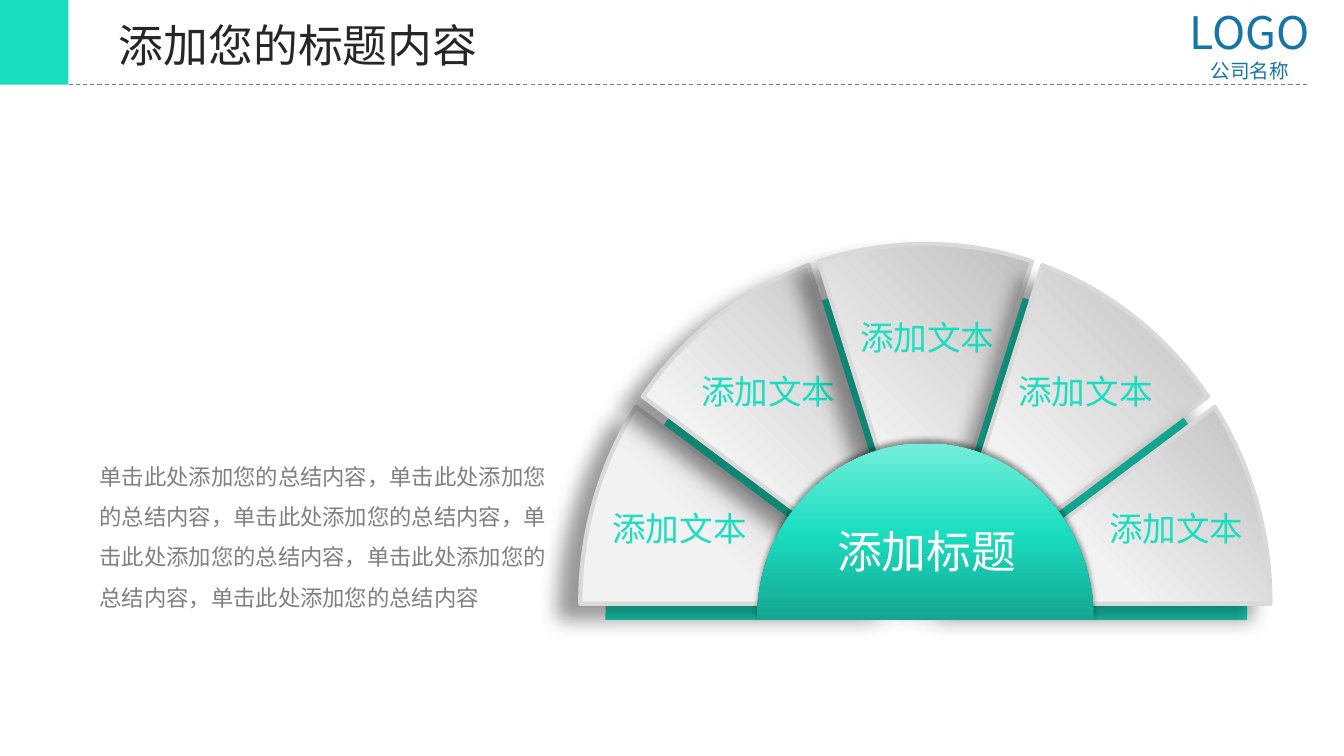
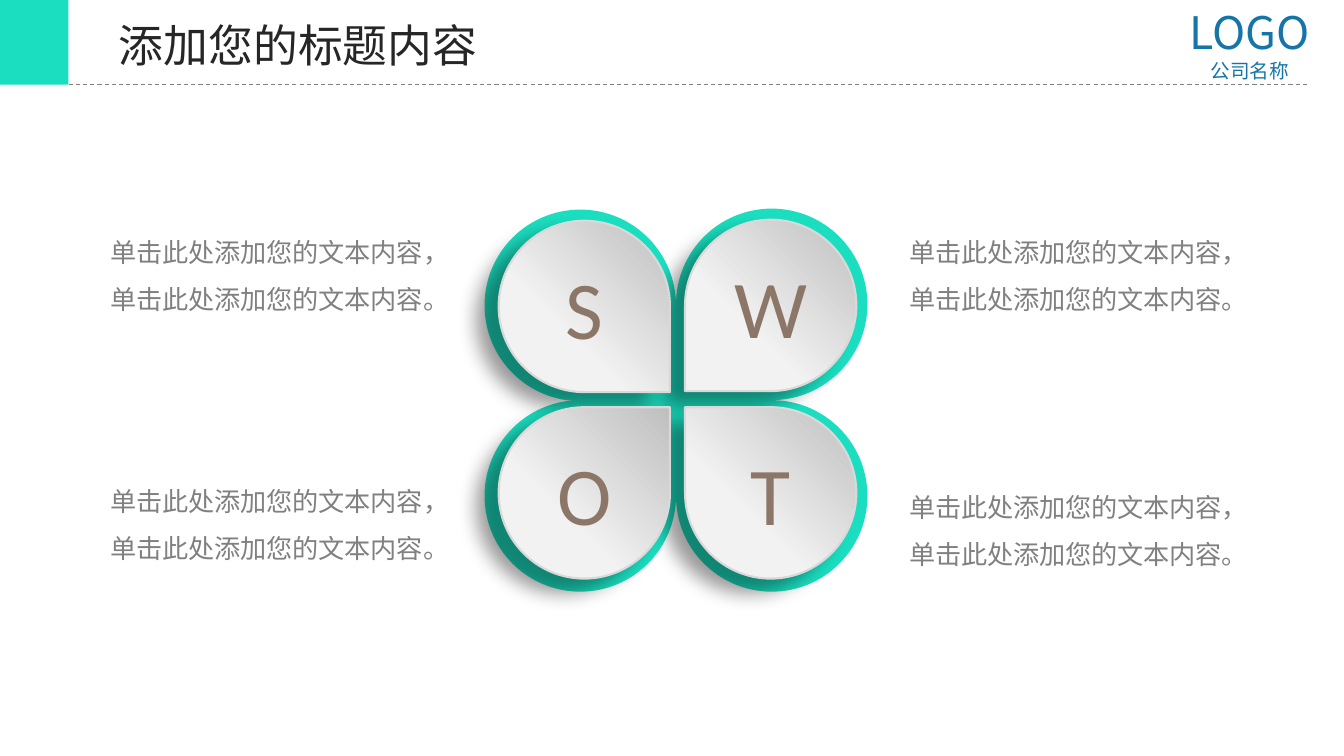
from math import ceil, cos, floor, radians, sin, tan

from lxml.etree import SubElement
from pptx import Presentation
from pptx.dml.color import RGBColor
from pptx.enum.dml import MSO_LINE
from pptx.enum.shapes import MSO_CONNECTOR, MSO_SHAPE
from pptx.enum.text import MSO_ANCHOR, MSO_AUTO_SIZE, PP_ALIGN
from pptx.oxml.ns import qn
from pptx.util import Pt

PX = 9144  # EMU in one px, 100 px to the inch
LEFT, MID = PP_ALIGN.LEFT, PP_ALIGN.CENTER
TOP, CENTRE = MSO_ANCHOR.TOP, MSO_ANCHOR.MIDDLE
RECT, LINE, DASH = MSO_SHAPE.RECTANGLE, MSO_CONNECTOR.STRAIGHT, MSO_LINE.DASH


class Theme:
    teal, white, rim = "1BDEC0", "FFFFFF", "D9D9D9"
    dark, gray, brown, blue = "262626", "808080", "8C7667", "1574A8"
    # gradients: angle, then stops; shadows: blur, distance (pt), direction
    silver = (45, ((36, "F2F2F2"), (100, "BFBFBF")))
    glow = (90, ((0, "14A690"), (50, teal), (100, "73EEDB")))
    drop, halo = (14, 18, 147), (4, 3, 270)
    head, body, label, east = "Noto Sans CJK JP", "Arial", "Calibri", "Noto Sans CJK SC"
    big, mark, tag, note, small, glyph = 32, 24, 18.67, 16, 14, 58.67


def rgb(code):
    return RGBColor.from_string(code)


def px(*nums):
    return [round(n * PX) for n in nums]


# Text
def style(para, face, size, color, align=LEFT, lead=None):
    para.alignment = align
    if lead:
        para.line_spacing = lead
    font = para.font
    font.size, font.name = Pt(size), face
    font.color.rgb = rgb(color)
    east = face if face == Theme.head else Theme.east
    SubElement(font._element, qn("a:ea")).set("typeface", east)


def write(shape, text, *look, anchor=TOP):
    frame = shape.text_frame
    frame.word_wrap = True
    frame.auto_size = MSO_AUTO_SIZE.NONE
    frame.vertical_anchor = anchor
    frame.text = text
    for para in frame.paragraphs:
        style(para, *look)
    return frame


def add_text(slide, box, text, *look, anchor=TOP):
    return write(slide.shapes.add_textbox(*px(*box)), text, *look, anchor=anchor)


# Outlines: a start point, then steps of one point (line) or three (curve)
def arc(cx, cy, rx, ry, start, end):
    """Start point and curves, clockwise in degrees, cut at each quarter."""
    cuts = [90 * n for n in range(floor(start / 90) + 1, ceil(end / 90))]
    turns = [radians(t) for t in (start, *cuts, end)]

    def spot(turn, pull=0):
        return (cx + rx * (cos(turn) - pull * sin(turn)),
                cy + ry * (sin(turn) + pull * cos(turn)))

    curves = []
    for a, b in zip(turns, turns[1:]):
        pull = 4 / 3 * tan((b - a) / 4)
        curves.append((spot(a, pull), spot(b, -pull), spot(b)))
    return spot(turns[0]), curves


def outline(slide, start, steps, fill, rim=0, shade=None):
    pen = slide.shapes.build_freeform(*px(*start))
    pen.add_line_segments([px(*p) for step in steps for p in step])
    shape = pen.convert_to_shape()
    lines = iter(shape._element.spPr.findall(".//" + qn("a:lnTo")))
    for step in steps:
        first, *rest = [next(lines) for _ in step]
        if rest:
            bend = first.makeelement(qn("a:cubicBezTo"))
            first.addprevious(bend)
            for line in (first, *rest):
                bend.append(line[0])
                line.getparent().remove(line)
    paint(shape, fill)
    if rim:
        shape.line.color.rgb = rgb(Theme.rim)
        shape.line.width = Pt(rim)
    if shade:
        cast(shape, *shade)
    return shape


def paint(shape, fill):
    shape.shadow.inherit = False
    shape.line.fill.background()
    if isinstance(fill, str):
        shape.fill.solid()
        shape.fill.fore_color.rgb = rgb(fill)
        return
    angle, stops = fill
    shape.fill.gradient()
    shape.fill.gradient_angle = angle
    group = shape._element.spPr.find(".//" + qn("a:gsLst"))
    for old in list(group):
        group.remove(old)
    for pos, color in stops:
        stop = SubElement(group, qn("a:gs"), pos=str(pos * 1000))
        SubElement(stop, qn("a:srgbClr"), val=color)


def cast(shape, blur, dist, angle):
    effects = shape._element.spPr.find(qn("a:effectLst"))
    shade = SubElement(effects, qn("a:outerShdw"), blurRad=str(Pt(blur)),
                       dist=str(Pt(dist)), dir=str(angle * 60000),
                       algn="ctr", rotWithShape="0")
    color = SubElement(shade, qn("a:srgbClr"), val="000000")
    SubElement(color, qn("a:alpha"), val="40000")


# Header shared by the slides
def header(slide, box):
    x, y, w, h = box
    rule = slide.shapes.add_connector(LINE, *px(x + 68, y + h, x + w, y + h))
    rule.line.color.rgb = rgb(Theme.gray)
    rule.line.width = Pt(0.75)
    rule.line.dash_style = DASH
    SubElement(rule._element.spPr, qn("a:effectLst"))
    paint(slide.shapes.add_shape(RECT, *px(x, y, 68, h)), Theme.teal)

    title = slide.shapes.title
    title.left, title.top, title.width, title.height = px(x + 108, y + 13, 543, 64)
    write(title, "添加您的标题内容", Theme.head, Theme.big, Theme.dark)

    frame = add_text(slide, (x + w - 139, y, 165, 91), "LOGO\n公司名称",
                     Theme.head, Theme.big, Theme.blue, MID)
    frame.paragraphs[1].font.size = Pt(Theme.small)


# Half disc fan with a hub
def dome(slide, cx, base, rx, ry, fill, shade=None):
    start, curves = arc(cx, base - 1, rx, ry, 180, 360)
    steps = curves + [((cx + rx, base),), ((cx - rx, base),)]
    outline(slide, start, steps, fill, shade=shade)


def fan(slide, box):
    x, y, w, h = box
    cx, base, rim = x + w / 2, y + h, y + h - 18
    dome(slide, cx + 1, base, w / 2 - 24, h - 39, Theme.teal)
    # start and end angle, tip from the centre, label from the box
    parts = (
        (179.68, 213, -25, 2, -14, 252),
        (215, 250.2, -12, -3, 74, 116),
        (252, 288, 0, -2, 232, 63),
        (289.8, 325, 11, -1, 389, 116),
        (327, 360.32, 27, 2, 479, 252),
    )
    for begin, end, dx, dy, tx, ty in parts:
        start, curves = arc(cx, rim, w / 2, h - 18, begin, end)
        steps = curves + [((cx + dx, rim + dy),)]
        outline(slide, start, steps, Theme.silver, 3, Theme.drop)
        add_text(slide, (x + tx, y + ty, 225, 59), "添加文本",
                 Theme.label, Theme.mark, Theme.teal, MID, anchor=CENTRE)
    dome(slide, cx, base, 167, 174, Theme.glow, Theme.halo)
    add_text(slide, (cx - 107, base - 100, 217, 64), "添加标题",
             Theme.body, Theme.big, Theme.white, MID)


# Four petals
def petal(slide, x, y, size, turn, *look):
    """A disc with one square corner, which lies at the angle turn."""
    r = size / 2
    cx, cy = x + r, y + r
    tip = (cx + r * (1 if cos(radians(turn)) > 0 else -1),
           cy + r * (1 if sin(radians(turn)) > 0 else -1))
    start, curves = arc(cx, cy, r, r, turn + 45, turn + 315)
    return outline(slide, start, curves + [(tip,)], *look)


def swot(slide, box):
    x, y, w, _ = box
    size = w // 2
    # letter, outer and inner offset from the box, angle of the corner
    cells = (
        ("W", (size, 0), (199, 11), 135),
        ("T", (size, size), (199, 197), 225),
        ("S", (0, 1), (14, 12), 45),
        ("O", (0, size), (14, 197), 315),
    )
    for _, (dx, dy), _, turn in cells:
        petal(slide, x + dx, y + dy, size, turn, Theme.teal)
    for text, _, (dx, dy), turn in cells:
        leaf = petal(slide, x + dx, y + dy, size - 20, turn,
                     Theme.silver, 1.5, Theme.drop)
        write(leaf, text, Theme.label, Theme.glyph, Theme.brown, MID, anchor=CENTRE)


# Slides
def new(deck):
    slide = deck.slides.add_slide(deck.slide_layouts[5])
    header(slide, (0, 0, 1297, 84))
    return slide


def main():
    deck = Presentation()
    deck.slide_width, deck.slide_height = px(1334, 750)

    slide = new(deck)
    words = "，".join(["单击此处添加您的总结内容"] * 6)
    add_text(slide, (89, 441, 472, 172), words,
             Theme.body, Theme.note, Theme.gray, LEFT, 1.5)
    fan(slide, (576, 242, 685, 373))

    slide = new(deck)
    words = "单击此处添加您的文本内容，单击此处添加您的文本内容。"
    for x, y in ((100, 214), (100, 461), (893, 214), (893, 467)):
        add_text(slide, (x, y, 352, 152), words,
                 Theme.body, Theme.tag, Theme.gray, LEFT, 1.5)
    swot(slide, (481, 207, 380, 380))

    deck.save("out.pptx")


if __name__ == "__main__":
    main()
